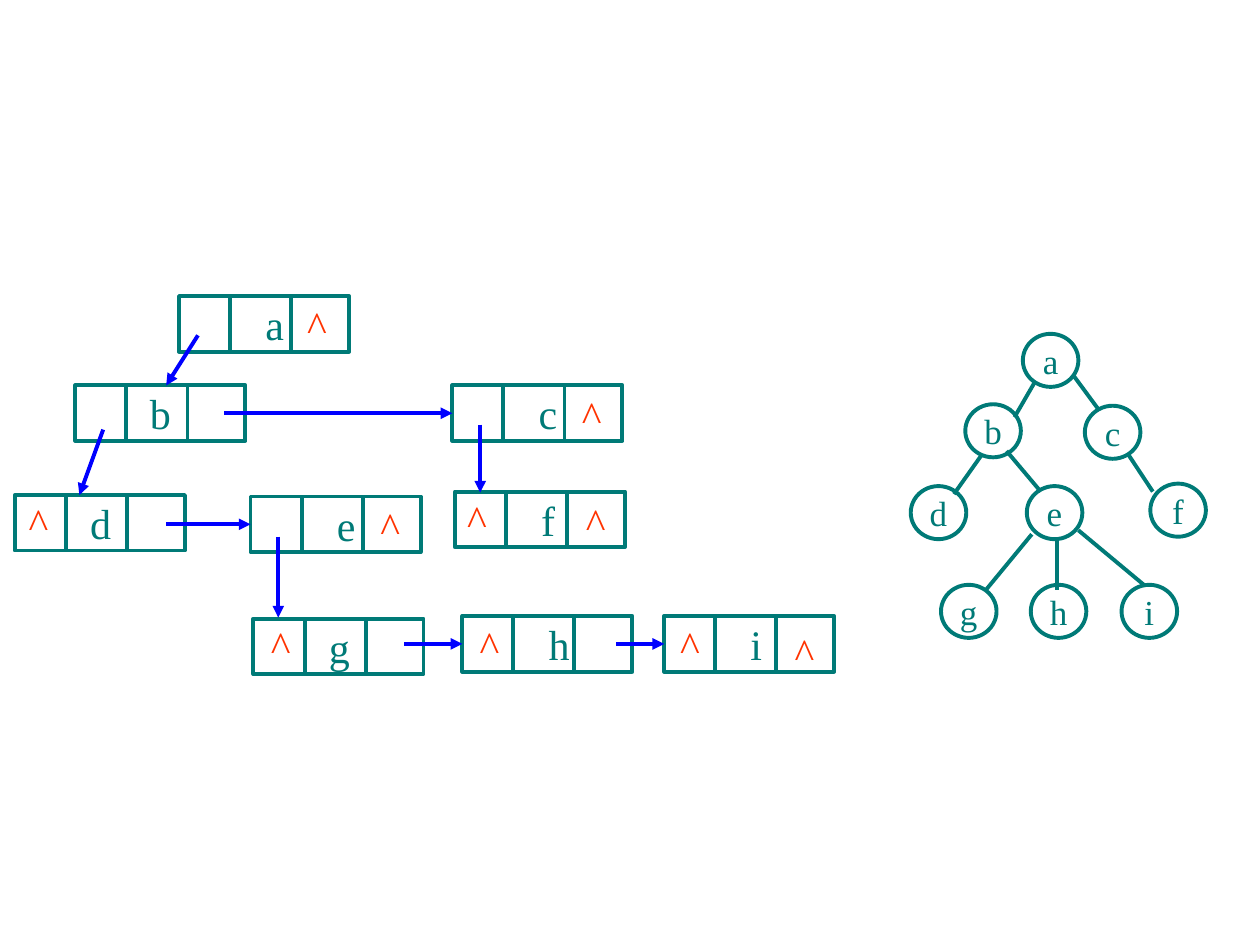
from typing import NamedTuple

from lxml import etree
from pptx import Presentation
from pptx.dml.color import RGBColor
from pptx.enum.shapes import MSO_CONNECTOR, MSO_SHAPE
from pptx.enum.text import MSO_ANCHOR, PP_ALIGN
from pptx.oxml.ns import qn
from pptx.util import Cm, Pt

ELLIPSE, RECT = MSO_SHAPE.OVAL, MSO_SHAPE.RECTANGLE
STRAIGHT = MSO_CONNECTOR.STRAIGHT
LEFT, CENTER = PP_ALIGN.LEFT, PP_ALIGN.CENTER
MIDDLE = MSO_ANCHOR.MIDDLE
LEFT_SIDE = 1

FONT = "Times New Roman"
TEAL, BLUE, RED = "007A77", "0000FF", "FF3300"
NODE_W, NODE_H = 1.12, 1.07
RECORD_W, RECORD_H = 3.43, 1.12
DIVIDERS = (1.03, 2.26)
CARET_W, CARET_H = 0.89, 1.27


class Node(NamedTuple):
    label: str
    x: float
    y: float


class Record(NamedTuple):
    label: str
    x: float
    y: float
    inset: float = 1.74
    align: PP_ALIGN = LEFT


class Line(NamedTuple):
    x1: float
    y1: float
    x2: float
    y2: float
    target: str = ""


NODES = [
    Node("a", 20.62, 6.73),
    Node("b", 19.46, 8.15),
    Node("c", 21.87, 8.18),
    Node("d", 18.36, 9.8),
    Node("e", 20.7, 9.8),
    Node("f", 23.19, 9.75),
    Node("g", 18.97, 11.79),
    Node("h", 20.78, 11.79),
    Node("i", 22.61, 11.79),
]
EDGES = [
    Line(20.85, 7.72, 20.45, 8.41),
    Line(21.64, 7.57, 22.15, 8.26),
    Line(19.79, 9.17, 19.23, 9.96),
    Line(20.29, 9.09, 20.98, 9.91),
    Line(22.73, 9.14, 23.24, 9.91),
    Line(20.8, 10.77, 19.86, 11.91),
    Line(21.31, 10.87, 21.31, 11.89),
    Line(21.74, 10.69, 23.06, 11.79),
]
RECORDS = [
    Record("a", 3.61, 5.97),
    Record("b", 1.52, 7.77, 0.25, CENTER),
    Record("c", 9.12, 7.77),
    Record("d", 0.3, 9.98, 1.52),
    Record("e", 5.05, 10.01),
    Record("f", 9.17, 9.91),
    Record("g", 5.11, 12.47, 1.52),
    Record("h", 9.32, 12.42),
    Record("i", 13.39, 12.42),
]
POINTERS = [
    Line(3.99, 6.76, 3.35, 7.77),
    Line(2.08, 8.66, 1.6, 9.98),
    Line(4.52, 8.33, 9.12, 8.33, "c"),
    Line(3.35, 10.57, 5.05, 10.57, "e"),
    Line(5.61, 10.82, 5.61, 12.45),
    Line(8.15, 12.98, 9.32, 12.98, "h"),
    Line(12.42, 12.98, 13.39, 12.98, "i"),
    Line(9.68, 8.56, 9.68, 9.93),
]
CARETS = [
    (5.94, 5.92), (11.48, 7.72), (0.33, 9.88), (7.42, 9.96), (9.17, 9.83),
    (11.56, 9.88), (5.21, 12.37), (9.42, 12.37), (13.46, 12.37), (15.77, 12.5),
]


def rgb(color: str) -> RGBColor:
    return RGBColor.from_string(color)


def set_text(sp, text: str, size: int, color: str, align: PP_ALIGN = CENTER) -> None:
    tf = sp.text_frame
    tf.vertical_anchor = MIDDLE
    p = tf.paragraphs[0]
    p.text = text
    p.alignment = align
    p.font.name = FONT
    p.font.size = Pt(size)
    p.font.color.rgb = rgb(color)


def add_outline(shapes, kind: MSO_SHAPE, x: float, y: float, w: float, h: float):
    sp = shapes.add_shape(kind, Cm(x), Cm(y), Cm(w), Cm(h))
    sp.shadow.inherit = False
    sp.fill.background()
    sp.line.color.rgb = rgb(TEAL)
    sp.line.width = Pt(2.25)
    return sp


def add_line(shapes, line: Line, color: str = TEAL, arrow: bool = False):
    cx = shapes.add_connector(
        STRAIGHT, Cm(line.x1), Cm(line.y1), Cm(line.x2), Cm(line.y2)
    )
    cx.line.color.rgb = rgb(color)
    cx.line.width = Pt(2.25)
    if arrow:
        ln = cx.line._get_or_add_ln()
        etree.SubElement(ln, qn("a:tailEnd"), type="triangle")
    etree.SubElement(cx._element.spPr, qn("a:effectLst"))
    return cx


def add_node(shapes, node: Node) -> None:
    sp = add_outline(shapes, ELLIPSE, node.x, node.y, NODE_W, NODE_H)
    sp.text_frame.word_wrap = False
    set_text(sp, node.label, 20, TEAL)


def add_record(shapes, rec: Record):
    sp = add_outline(shapes, RECT, rec.x, rec.y, RECORD_W, RECORD_H)
    sp.text_frame.word_wrap = True
    sp.text_frame.margin_left = Cm(rec.inset)
    set_text(sp, rec.label, 24, TEAL, rec.align)
    for dx in DIVIDERS:
        x = rec.x + dx
        add_line(shapes, Line(x, rec.y, x, rec.y + RECORD_H))
    return sp


def add_caret(shapes, x: float, y: float) -> None:
    sp = shapes.add_textbox(Cm(x), Cm(y), Cm(CARET_W), Cm(CARET_H))
    sp.text_frame.word_wrap = False
    set_text(sp, "^", 24, RED)


def main() -> None:
    prs = Presentation()
    prs.slide_width, prs.slide_height = Cm(25.4), Cm(19.05)
    s = prs.slides.add_slide(prs.slide_layouts[6])

    tree = s.shapes.add_group_shape().shapes
    for node in NODES:
        add_node(tree, node)
    for edge in EDGES:
        add_line(tree, edge)

    linked_list = s.shapes.add_group_shape().shapes
    records = {rec.label: add_record(linked_list, rec) for rec in RECORDS}
    for pointer in POINTERS:
        cx = add_line(s.shapes, pointer, BLUE, arrow=True)
        if pointer.target:
            cx.end_connect(records[pointer.target], LEFT_SIDE)
    for x, y in CARETS:
        add_caret(s.shapes, x, y)

    prs.save("out.pptx")


if __name__ == "__main__":
    main()
